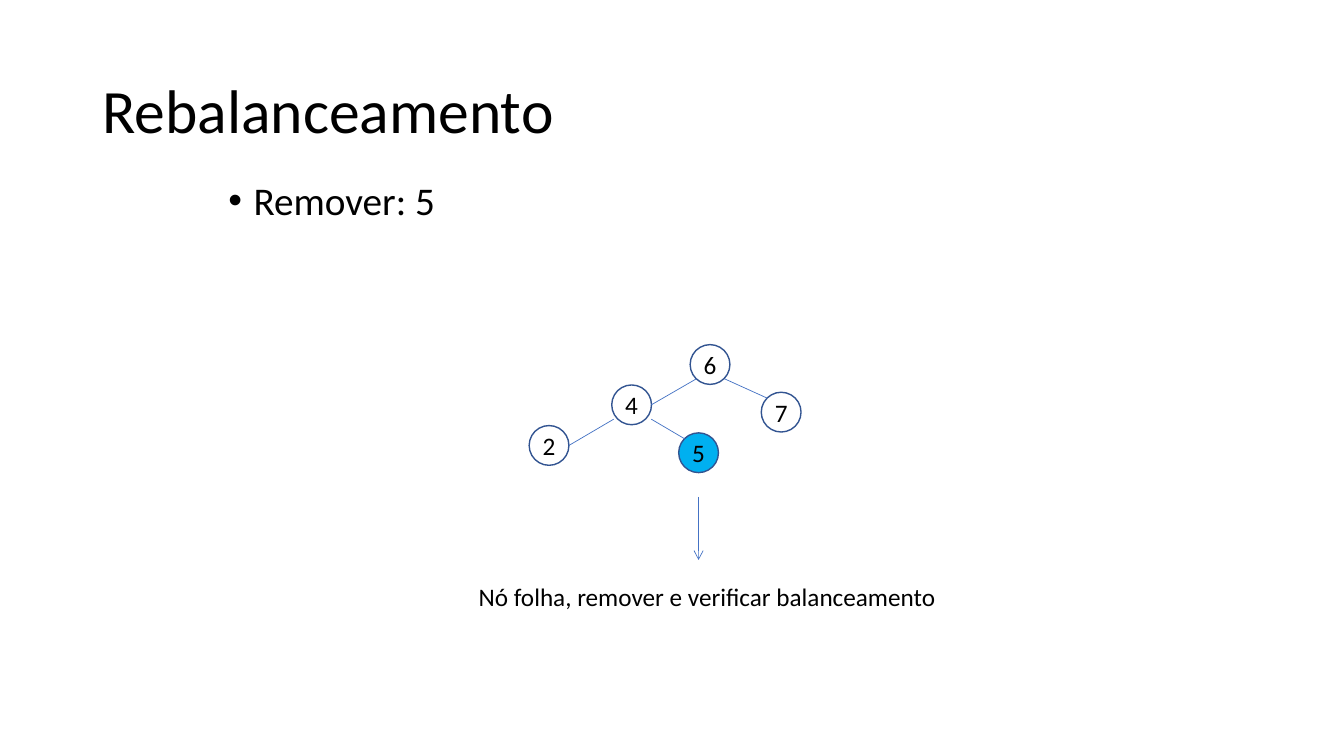
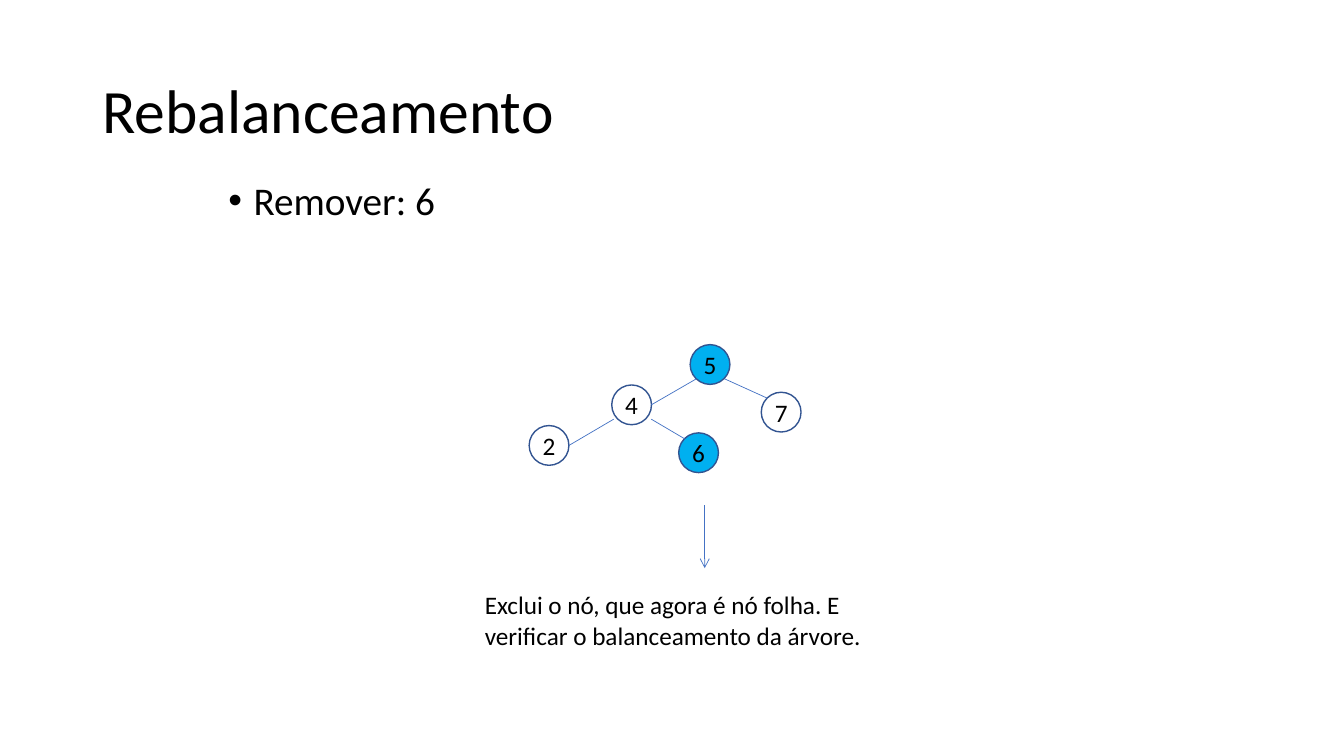
from dataclasses import dataclass

from lxml import etree
from pptx import Presentation
from pptx.dml.color import RGBColor
from pptx.enum.shapes import MSO_CONNECTOR, MSO_SHAPE
from pptx.enum.text import MSO_ANCHOR, MSO_AUTO_SIZE, PP_ALIGN
from pptx.oxml.ns import qn
from pptx.util import Pt

LINE = MSO_CONNECTOR.STRAIGHT
OVAL = MSO_SHAPE.OVAL
MIDDLE, TOP = MSO_ANCHOR.MIDDLE, MSO_ANCHOR.TOP
LEFT, CENTER = PP_ALIGN.LEFT, PP_ALIGN.CENTER
GROW, FIXED = MSO_AUTO_SIZE.SHAPE_TO_FIT_TEXT, MSO_AUTO_SIZE.NONE


@dataclass(frozen=True)
class Theme:
    font: str = "Calibri"
    ink: RGBColor = RGBColor(0x00, 0x00, 0x00)
    rim: RGBColor = RGBColor(0x32, 0x54, 0x91)
    edge: RGBColor = RGBColor(0x44, 0x72, 0xC4)
    mark: RGBColor = RGBColor(0x00, 0xB0, 0xF0)
    title: int = 44
    list: int = 28
    label: int = 18


THEME = Theme()
NODE = 28.4
SPOTS = {
    "root": (493, 246.2),
    "left": (437, 275),
    "right": (543.8, 280.2),
    "outer": (378, 304),
    "inner": (484.8, 309.2),
}
EDGES = [
    (465.2, 289.2, 497.4, 270.6),
    (517.6, 270.6, 548, 284.4),
    (406.4, 318.2, 438.4, 299.4),
    (465.2, 299.4, 489, 313.4),
]


def place(shape, x, y, w, h):
    shape.left, shape.top, shape.width, shape.height = Pt(x), Pt(y), Pt(w), Pt(h)


def write(frame, text, size, align=LEFT):
    para = frame.paragraphs[0]
    para.alignment = align
    run = para.add_run()
    run.text = text
    run.font.name = THEME.font
    run.font.size = Pt(size)
    run.font.color.rgb = THEME.ink
    return para


def add_title(slide, text):
    title = slide.shapes.title
    place(title, 66, 28.8, 828, 104.4)
    frame = title.text_frame
    frame.auto_size = FIXED
    frame.vertical_anchor = MIDDLE
    write(frame, text, THEME.title).line_spacing = 0.9


def add_list(slide, text):
    body = slide.placeholders[1]
    place(body, 156, 126, 648, 172)
    frame = body.text_frame
    frame.auto_size = FIXED
    frame.vertical_anchor = TOP
    para = frame.paragraphs[0]
    props = para._p.get_or_add_pPr()
    props.set("marL", str(Pt(18)))
    props.set("indent", str(-Pt(18)))
    etree.SubElement(props, qn("a:buFont")).set("typeface", "Arial")
    etree.SubElement(props, qn("a:buChar")).set("char", "•")
    write(frame, text, THEME.list)
    para.line_spacing = 0.9
    para.space_before = Pt(0)


def add_node(slide, spot, key, marked):
    x, y = SPOTS[spot]
    node = slide.shapes.add_shape(OVAL, Pt(x), Pt(y), Pt(NODE), Pt(NODE))
    node.shadow.inherit = False
    if marked:
        node.fill.solid()
        node.fill.fore_color.rgb = THEME.mark
    else:
        node.fill.background()
    node.line.color.rgb = THEME.rim
    node.line.width = Pt(1)
    frame = node.text_frame
    frame.margin_left = frame.margin_right = Pt(0)
    frame.margin_top = frame.margin_bottom = Pt(0)
    frame.word_wrap = False
    frame.vertical_anchor = MIDDLE
    write(frame, key, THEME.label, CENTER)


def add_line(slide, x1, y1, x2, y2, arrow=False):
    line = slide.shapes.add_connector(LINE, Pt(x1), Pt(y1), Pt(x2), Pt(y2))
    line.line.color.rgb = THEME.edge
    line.line.width = Pt(0.5)
    if arrow:
        stroke = line.line._get_or_add_ln()
        etree.SubElement(stroke, qn("a:tailEnd")).set("type", "arrow")
    etree.SubElement(line._element.spPr, qn("a:effectLst"))


def add_tree(slide, keys, marks):
    for spot, key in keys.items():
        add_node(slide, spot, key, spot in marks)
    for edge in EDGES:
        add_line(slide, *edge)


def add_note(slide, text, x, y, w, h, wrap):
    box = slide.shapes.add_textbox(Pt(x), Pt(y), Pt(w), Pt(h))
    frame = box.text_frame
    frame.word_wrap = wrap
    frame.auto_size = GROW
    write(frame, text, THEME.label)


def add_step(deck, key, root, inner, marks):
    slide = deck.slides.add_slide(deck.slide_layouts[1])
    add_title(slide, "Rebalanceamento")
    add_list(slide, f"Remover: {key}")
    keys = {"root": root, "left": "4", "right": "7", "outer": "2", "inner": inner}
    add_tree(slide, keys, marks)
    return slide


def main():
    deck = Presentation()
    deck.slide_width, deck.slide_height = Pt(960), Pt(540)

    leaf = add_step(deck, "5", "6", "5", {"inner"})
    add_note(leaf, "Nó folha, remover e verificar balanceamento",
             334.8, 411.8, 345, 28.8, False)
    add_line(leaf, 499, 355, 499, 400, True)

    swap = add_step(deck, "6", "5", "6", {"root", "inner"})
    add_note(swap, "Exclui o nó, que agora é nó folha. E verificar o balanceamento da árvore.",
             339.2, 417.6, 327.6, 51, True)
    add_line(swap, 503.4, 360.8, 503.4, 405.8, True)

    deck.save("out.pptx")


if __name__ == "__main__":
    main()
